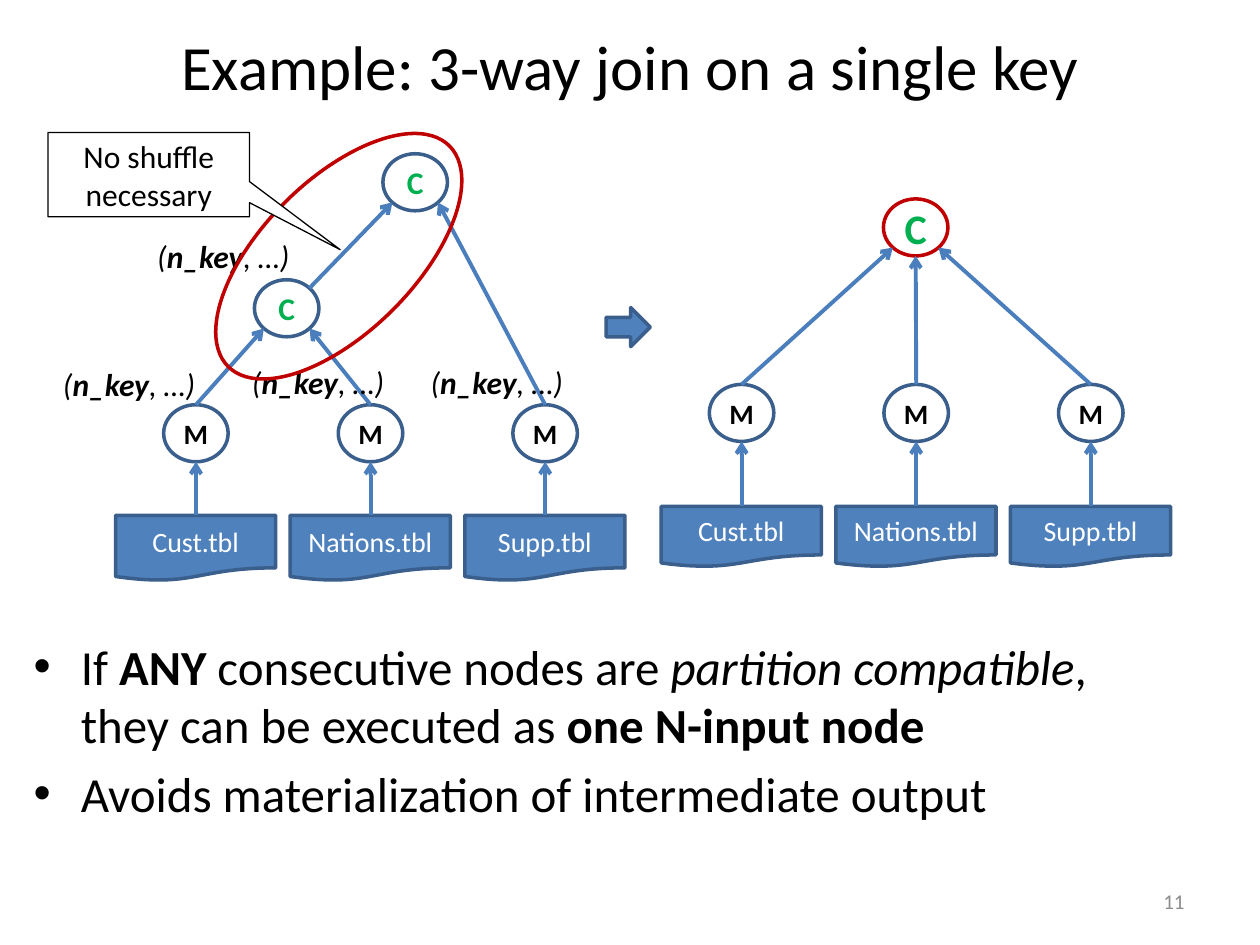
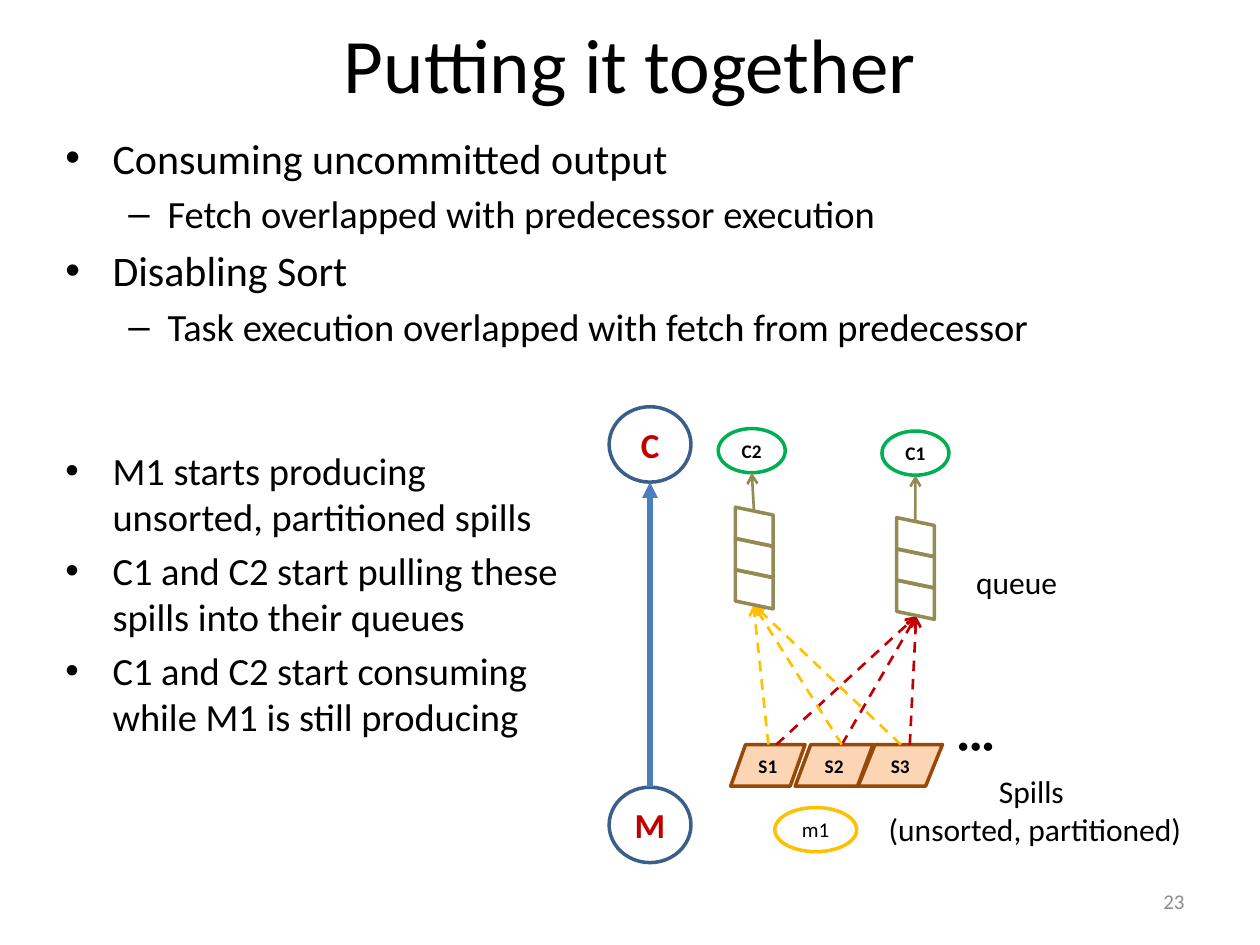
import dataclasses
import math

import lxml.etree
import pptx
import pptx.dml.color
import pptx.enum.dml
import pptx.enum.shapes
import pptx.enum.text
import pptx.oxml.ns
import pptx.util

Cm = pptx.util.Cm
Pt = pptx.util.Pt
SHAPE = pptx.enum.shapes.MSO_SHAPE
ALIGN = pptx.enum.text.PP_ALIGN
ANCHOR = pptx.enum.text.MSO_ANCHOR
AUTO_SIZE = pptx.enum.text.MSO_AUTO_SIZE
qn = pptx.oxml.ns.qn


@dataclasses.dataclass(frozen=True)
class Theme:
    font: str = "Calibri"
    black: str = "000000"
    white: str = "FFFFFF"
    gray: str = "8C8C8C"
    blue: str = "4F81BD"
    outline: str = "3A5F8C"
    arrow: str = "4B7EBC"
    red: str = "C00000"
    green: str = "00B050"
    yellow: str = "FFC000"
    olive: str = "948A54"
    brown: str = "984807"
    peach: str = "FCD5B5"
    title: int = 44
    long_title: int = 36
    body: int = 28
    point: int = 24
    subpoint: int = 22
    label: int = 18
    node: int = 16
    stage: int = 20
    tiny: int = 11
    small: int = 12
    dots: int = 32
    outline_width: float = 2
    arrow_width: float = 2.25


class Deck:
    def __init__(self, theme):
        self.theme = theme
        self.presentation = pptx.Presentation()
        self.presentation.slide_width = Cm(25.4)
        self.presentation.slide_height = Cm(19.05)
        self.slide = None

    def rgb(self, color):
        return pptx.dml.color.RGBColor.from_string(color)

    def start(self, title, size, top, height, number):
        self.slide = self.presentation.slides.add_slide(self.presentation.slide_layouts[5])
        shape = self.slide.shapes.title
        shape.left, shape.top, shape.width, shape.height = Cm(1.27), Cm(top), Cm(22.86), Cm(height)
        shape.text_frame.auto_size = AUTO_SIZE.NONE
        shape.text_frame.vertical_anchor = ANCHOR.MIDDLE
        self.fill_paragraph(shape.text_frame.paragraphs[0], title, size, align=ALIGN.CENTER)
        footer = self.text(str(number), 18.21, 17.65, 5.92, 1.02, self.theme.small,
                           color=self.theme.gray, align=ALIGN.RIGHT)
        footer.text_frame.vertical_anchor = ANCHOR.MIDDLE

    def fill_paragraph(self, paragraph, content, size, color=None, bold=False, align=None):
        if isinstance(content, str):
            paragraph.text = content
            styles = ["b" if bold else ""] * len(paragraph.runs)
        else:
            styles = [style for _, style in content]
            for words, _ in content:
                paragraph.add_run().text = words
        paragraph.alignment = align
        for run, style in zip(paragraph.runs, styles):
            run.font.name = self.theme.font
            run.font.size = Pt(size)
            run.font.bold = "b" in style
            run.font.italic = "i" in style
            run.font.color.rgb = self.rgb(color or self.theme.black)

    def text(self, content, left, top, width, height, size, wrap=True, **style):
        shape = self.slide.shapes.add_textbox(Cm(left), Cm(top), Cm(width), Cm(height))
        shape.text_frame.word_wrap = wrap
        self.fill_paragraph(shape.text_frame.paragraphs[0], content, size, **style)
        return shape

    def bullets(self, items, left, top, width, height):
        shape = self.slide.shapes.add_textbox(Cm(left), Cm(top), Cm(width), Cm(height))
        frame = shape.text_frame
        frame.word_wrap = True
        for index, (content, size, level) in enumerate(items):
            paragraph = frame.add_paragraph() if index else frame.paragraphs[0]
            self.fill_paragraph(paragraph, content, size)
            paragraph.level = level
            paragraph.space_before = Pt(size * 0.2)
            margin, hanging, mark = ((0.95, 0.95, "•"), (2.06, 0.79, "–"))[level]
            properties = paragraph._p.get_or_add_pPr()
            properties.set("marL", str(Cm(margin)))
            properties.set("indent", str(-Cm(hanging)))
            lxml.etree.SubElement(properties, qn("a:buFont")).set("typeface", "Arial")
            lxml.etree.SubElement(properties, qn("a:buChar")).set("char", mark)

    def shape(self, kind, left, top, width, height, line=None, fill=None, rotation=0,
              line_width=None):
        shape = self.slide.shapes.add_shape(kind, Cm(left), Cm(top), Cm(width), Cm(height))
        shape.shadow.inherit = False
        shape.rotation = rotation
        if fill:
            shape.fill.solid()
            shape.fill.fore_color.rgb = self.rgb(fill)
        else:
            shape.fill.background()
        shape.line.color.rgb = self.rgb(line or self.theme.outline)
        shape.line.width = Pt(line_width or self.theme.outline_width)
        return shape

    def caption(self, shape, content, size, color=None, bold=False):
        frame = shape.text_frame
        frame.margin_left = frame.margin_right = frame.margin_top = frame.margin_bottom = 0
        frame.word_wrap = True
        frame.vertical_anchor = ANCHOR.MIDDLE
        self.fill_paragraph(frame.paragraphs[0], content, size, color, bold, ALIGN.CENTER)

    def node(self, content, center, top, size, color=None, line=None):
        shape = self.shape(SHAPE.OVAL, center - 0.65, top, 1.3, 1.15, line)
        self.caption(shape, content, size, color, True)
        return shape

    def arrow(self, start, end, color=None, width=None, head="arrow", dashed=False):
        connector = self.slide.shapes.add_connector(
            pptx.enum.shapes.MSO_CONNECTOR.STRAIGHT,
            Cm(start[0]), Cm(start[1]), Cm(end[0]), Cm(end[1]))
        connector.line.color.rgb = self.rgb(color or self.theme.arrow)
        connector.line.width = Pt(width or self.theme.arrow_width)
        if dashed:
            connector.line.dash_style = pptx.enum.dml.MSO_LINE.DASH
        properties = connector._element.spPr
        line = properties.find(qn("a:ln"))
        lxml.etree.SubElement(line, qn("a:tailEnd")).set("type", head)
        lxml.etree.SubElement(properties, qn("a:effectLst"))

    def mappers(self, first_center, node_top, table_top, table_height):
        tops = []
        for index, name in enumerate(("Cust.tbl", "Nations.tbl", "Supp.tbl")):
            center = first_center + index * 3.52
            table = self.shape(SHAPE.FLOWCHART_DOCUMENT, center - 1.62, table_top, 3.23,
                               table_height, fill=self.theme.blue)
            self.caption(table, name, self.theme.node, self.theme.white)
            mapper = self.node("M", center, node_top, self.theme.node)
            self.arrow((center, table_top), rim(mapper, 0, 1))
            tops.append(rim(mapper, 0, -1))
        return tops

    def queue(self, left, top, consumer):
        for index in range(3):
            self.shape(SHAPE.FLOWCHART_DATA, left, top + index * 0.63, 0.79, 0.76,
                       self.theme.olive, rotation=90)
        self.arrow((left + 0.39, top + 0.07), rim(consumer, 0, 1), self.theme.olive, 1.5)


def rim(shape, across, down):
    reach = 0.5 / math.hypot(across, down)
    return (shape.left.cm + shape.width.cm * (0.5 + across * reach),
            shape.top.cm + shape.height.cm * (0.5 + down * reach))


def build_join_slide(deck):
    theme = deck.theme
    deck.start("Example: 3-way join on a single key", theme.long_title, 0.33, 1.98, 11)

    customers, nations, suppliers = deck.mappers(14.95, 7.75, 10.21, 1.22)
    merged = deck.node("C", 18.46, 4.01, theme.point, theme.green, theme.red)
    for start, side in ((customers, (-1, 1)), (nations, (0, 1)), (suppliers, (1, 1))):
        deck.arrow(start, rim(merged, *side))

    customers, nations, suppliers = deck.mappers(3.95, 8.16, 10.39, 1.32)
    lower = deck.node("C", 5.78, 5.64, theme.label, theme.green)
    upper = deck.node("C", 8.37, 3.1, theme.label, theme.green)
    deck.arrow(customers, rim(lower, -1, 1))
    deck.arrow(nations, rim(lower, 1, 1))
    deck.arrow(rim(lower, 1, -1), rim(upper, -1, 1))
    deck.arrow(suppliers, rim(upper, 1, 1))

    deck.shape(SHAPE.RIGHT_ARROW, 12.22, 6.2, 0.89, 0.79, fill=theme.blue)
    key = [("(", "i"), ("n_key", "bi"), (", …)", "i")]
    for left, top in ((1.02, 7.24), (2.92, 4.65), (4.83, 7.19), (8.43, 7.19)):
        deck.text(key, left, top, 3.23, 1.02, theme.label, wrap=False)

    deck.shape(SHAPE.OVAL, 3.68, 3.63, 6.3, 3.07, theme.red, rotation=315.1)
    callout = deck.shape(SHAPE.RECTANGULAR_CALLOUT, 0.97, 2.67, 4.06, 1.7, theme.black,
                         theme.white, line_width=0.75)
    callout.adjustments[0], callout.adjustments[1] = 0.95, 0.89
    deck.caption(callout, "No shuffle necessary", theme.label)
    callout.text_frame.margin_left = callout.text_frame.margin_right = Cm(0.25)

    deck.bullets([
        ([("If ", ""), ("ANY", "b"), (" consecutive nodes are ", ""),
          ("partition compatible", "i"), (", they can be executed as ", ""),
          ("one N-input node", "b")], theme.body, 0),
        ("Avoids materialization of intermediate output", theme.body, 0),
    ], 0.43, 12.7, 22.86, 5.28)


def build_summary_slide(deck):
    theme = deck.theme
    deck.start("Putting it together", theme.title, 0.2, 2.11, 23)
    deck.bullets([
        ("Consuming uncommitted output", theme.point, 0),
        ("Fetch overlapped with predecessor execution", theme.subpoint, 1),
        ("Disabling Sort", theme.point, 0),
        ("Task execution overlapped with fetch from predecessor", theme.subpoint, 1),
    ], 1.07, 2.54, 21.59, 5.28)
    deck.bullets([(words, theme.subpoint, 0) for words in (
        "M1 starts producing unsorted, partitioned spills",
        "C1 and C2 start pulling these spills into their queues",
        "C1 and C2 start consuming while M1 is still producing",
    )], 1.07, 8.89, 10.59, 8.69)

    stages = []
    for name, top in (("C", 8.2), ("M", 15.87)):
        stage = deck.shape(SHAPE.OVAL, 12.28, top, 1.65, 1.52)
        deck.caption(stage, name, theme.stage, theme.red, True)
        stages.append(stage)
    deck.arrow(rim(stages[1], 0, -1), rim(stages[0], 0, 1), width=3, head="triangle")

    spill_top = 15.01
    for name, left, width in (("S3", 17.3, 1.7), ("S2", 16.03, 1.57), ("S1", 14.73, 1.5)):
        spill = deck.shape(SHAPE.FLOWCHART_DATA, left, spill_top, width, 0.84, theme.brown,
                           theme.peach)
        deck.caption(spill, name, theme.tiny, bold=True)

    producer = deck.shape(SHAPE.OVAL, 15.62, 16.28, 1.65, 0.89, theme.yellow)
    deck.caption(producer, "m1", theme.small)

    for target, ends, color in (((18.47, 12.42), (15.65, 16.97, 18.34), theme.red),
                                ((15.19, 12.19), (15.49, 16.97, 18.16), theme.yellow)):
        for spill_center in ends:
            deck.arrow((spill_center, spill_top), target, color, 1.5, dashed=True)

    for name, left, top, queue_left, queue_top in (("C2", 14.48, 8.64, 14.81, 10.24),
                                                   ("C1", 17.78, 8.69, 18.06, 10.45)):
        consumer = deck.shape(SHAPE.OVAL, left, top, 1.35, 0.89, theme.green)
        deck.caption(consumer, name, theme.tiny, bold=True)
        deck.queue(queue_left, queue_top, consumer)

    dots = deck.text("…", 19, 14.61, 1.32, 1.63, theme.dots, wrap=False, bold=True)
    dots.rotation = 180
    deck.text("Spills \v(unsorted, partitioned)", 17.6, 15.44, 6.53, 1.8, theme.label,
              align=ALIGN.CENTER)
    deck.text("queue", 19.43, 11.23, 2.16, 1.02, theme.label, wrap=False)


deck = Deck(Theme())
build_join_slide(deck)
build_summary_slide(deck)
deck.presentation.save("out.pptx")
